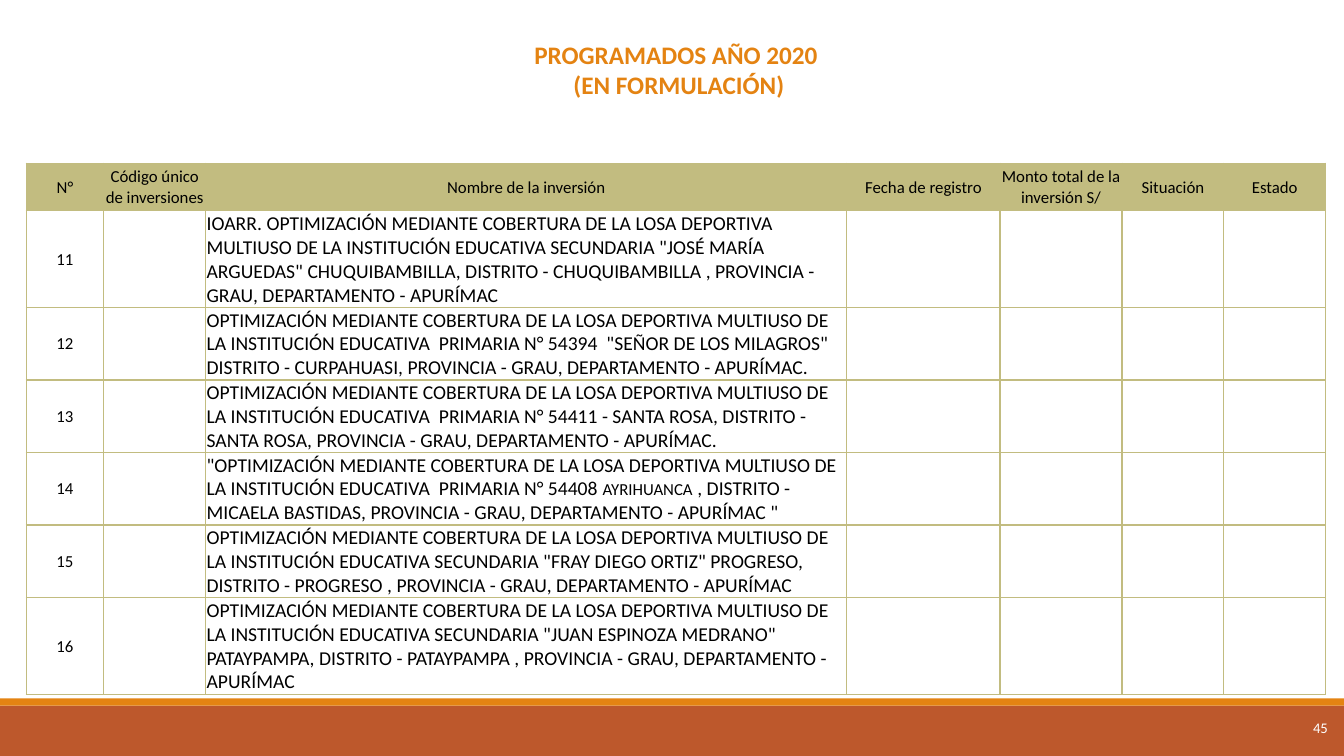
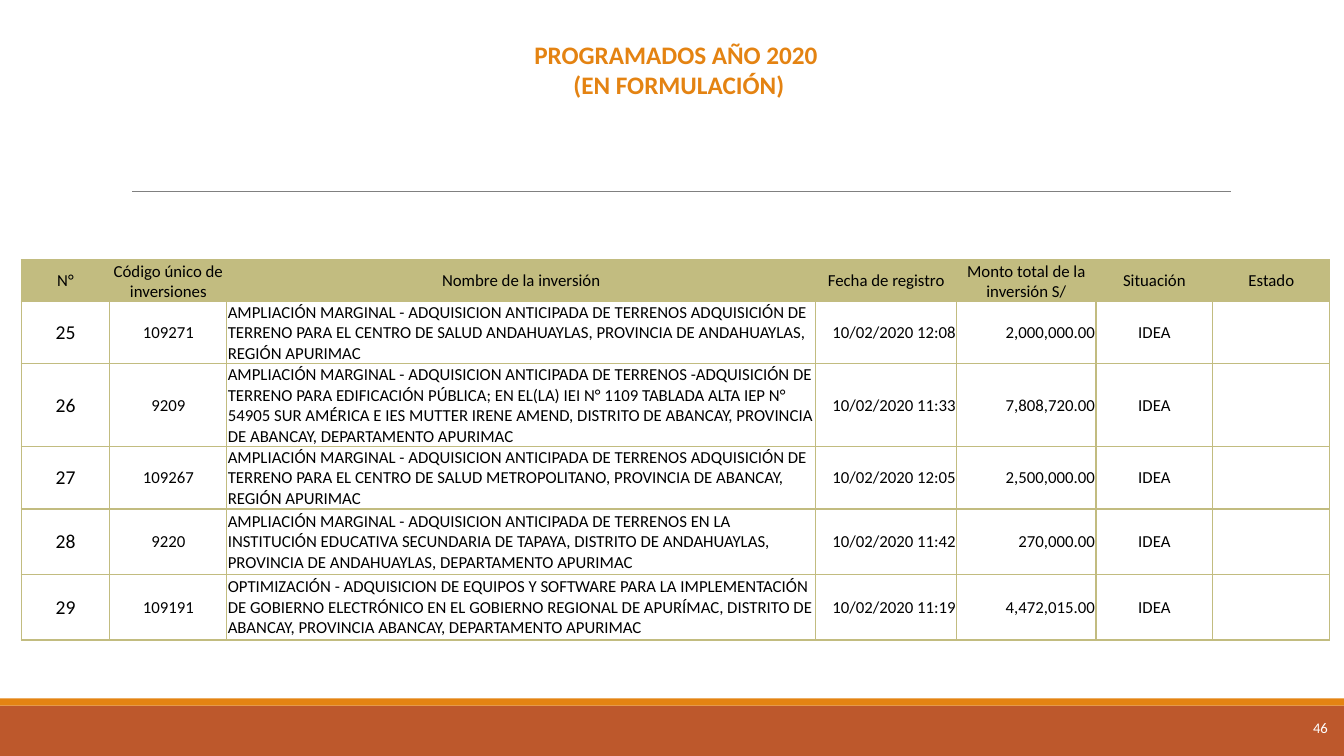
from lxml.etree import SubElement
from pptx import Presentation
from pptx.dml.color import RGBColor
from pptx.enum.shapes import MSO_CONNECTOR, MSO_SHAPE
from pptx.enum.text import MSO_ANCHOR as ANCHOR, MSO_AUTO_SIZE as AUTO, PP_ALIGN as ALIGN
from pptx.oxml.ns import qn
from pptx.util import Inches, Pt

FONT = "Calibri"
RUST = RGBColor(0xBD, 0x58, 0x2C)
ORANGE = RGBColor(0xE4, 0x83, 0x12)
OLIVE = RGBColor(0xC2, 0xBC, 0x80)
GRAY = RGBColor(0x80, 0x80, 0x80)
BLACK = RGBColor(0, 0, 0)
WHITE = RGBColor(0xFF, 0xFF, 0xFF)

TITLE = "PROGRAMADOS AÑO 2020\v (EN FORMULACIÓN)"
HEADERS = ["N°", "Código único de inversiones", "Nombre de la inversión", "Fecha de registro",
           "Monto total de la inversión S/", "Situación", "Estado"]
ALIGNS = [ALIGN.CENTER, ALIGN.CENTER, ALIGN.LEFT, ALIGN.RIGHT, ALIGN.RIGHT, ALIGN.CENTER, ALIGN.CENTER]

COVERS = [
    ("11", "", 'IOARR. OPTIMIZACIÓN MEDIANTE COBERTURA DE LA LOSA DEPORTIVA MULTIUSO DE LA INSTITUCIÓN '
     'EDUCATIVA SECUNDARIA "JOSÉ MARÍA ARGUEDAS" CHUQUIBAMBILLA, DISTRITO - CHUQUIBAMBILLA , '
     'PROVINCIA - GRAU, DEPARTAMENTO - APURÍMAC'),
    ("12", "", 'OPTIMIZACIÓN MEDIANTE COBERTURA DE LA LOSA DEPORTIVA MULTIUSO DE LA INSTITUCIÓN EDUCATIVA  '
     'PRIMARIA N° 54394  "SEÑOR DE LOS MILAGROS"  DISTRITO - CURPAHUASI, PROVINCIA - GRAU, '
     'DEPARTAMENTO - APURÍMAC.'),
    ("13", "", 'OPTIMIZACIÓN MEDIANTE COBERTURA DE LA LOSA DEPORTIVA MULTIUSO DE LA INSTITUCIÓN EDUCATIVA  '
     'PRIMARIA N° 54411 - SANTA ROSA, DISTRITO - SANTA ROSA, PROVINCIA - GRAU, DEPARTAMENTO - APURÍMAC.'),
    ("14", "", [
        ('"OPTIMIZACIÓN MEDIANTE COBERTURA DE LA LOSA DEPORTIVA MULTIUSO DE LA INSTITUCIÓN EDUCATIVA  '
         'PRIMARIA N° 54408 ', 14),
        ("AYRIHUANCA", 12),
        (' , DISTRITO - MICAELA BASTIDAS, PROVINCIA - GRAU, DEPARTAMENTO - APURÍMAC "', 14)]),
    ("15", "", 'OPTIMIZACIÓN MEDIANTE COBERTURA DE LA LOSA DEPORTIVA MULTIUSO DE LA INSTITUCIÓN EDUCATIVA '
     'SECUNDARIA "FRAY DIEGO ORTIZ" PROGRESO, DISTRITO - PROGRESO , PROVINCIA - GRAU, '
     'DEPARTAMENTO - APURÍMAC'),
    ("16", "", 'OPTIMIZACIÓN MEDIANTE COBERTURA DE LA LOSA DEPORTIVA MULTIUSO DE LA INSTITUCIÓN EDUCATIVA '
     'SECUNDARIA "JUAN ESPINOZA MEDRANO" PATAYPAMPA, DISTRITO - PATAYPAMPA , PROVINCIA - GRAU, '
     'DEPARTAMENTO - APURÍMAC'),
]
PURCHASES = [
    ("25", "109271", "AMPLIACIÓN MARGINAL - ADQUISICION ANTICIPADA DE TERRENOS ADQUISICIÓN DE TERRENO PARA EL "
     "CENTRO DE SALUD ANDAHUAYLAS, PROVINCIA DE ANDAHUAYLAS, REGIÓN APURIMAC",
     "10/02/2020 12:08", "2,000,000.00", "IDEA"),
    ("26", "9209", "AMPLIACIÓN MARGINAL - ADQUISICION ANTICIPADA DE TERRENOS -ADQUISICIÓN DE TERRENO PARA "
     "EDIFICACIÓN PÚBLICA; EN EL(LA) IEI N° 1109 TABLADA ALTA IEP N° 54905 SUR AMÉRICA E IES MUTTER IRENE "
     "AMEND, DISTRITO DE ABANCAY, PROVINCIA DE ABANCAY, DEPARTAMENTO APURIMAC",
     "10/02/2020 11:33", "7,808,720.00", "IDEA"),
    ("27", "109267", "AMPLIACIÓN MARGINAL - ADQUISICION ANTICIPADA DE TERRENOS ADQUISICIÓN DE TERRENO PARA EL "
     "CENTRO DE SALUD METROPOLITANO, PROVINCIA DE ABANCAY, REGIÓN APURIMAC",
     "10/02/2020 12:05", "2,500,000.00", "IDEA"),
    ("28", "9220", "AMPLIACIÓN MARGINAL - ADQUISICION ANTICIPADA DE TERRENOS EN LA INSTITUCIÓN EDUCATIVA "
     "SECUNDARIA DE TAPAYA, DISTRITO DE ANDAHUAYLAS, PROVINCIA DE ANDAHUAYLAS, DEPARTAMENTO APURIMAC",
     "10/02/2020 11:42", "270,000.00", "IDEA"),
    ("29", "109191", "OPTIMIZACIÓN - ADQUISICION DE EQUIPOS Y SOFTWARE PARA LA IMPLEMENTACIÓN DE GOBIERNO "
     "ELECTRÓNICO EN EL GOBIERNO REGIONAL DE APURÍMAC, DISTRITO DE ABANCAY, PROVINCIA ABANCAY, "
     "DEPARTAMENTO APURIMAC",
     "10/02/2020 11:19", "4,472,015.00", "IDEA"),
]
SLIDES = [
    dict(number="45", rows=COVERS, left=0.26, top=1.62, number_size=12, name_size=14,
         widths=[0.77, 1.01, 6.36, 1.52, 1.21, 1.01, 1.01],
         heights=[0.47, 0.96, 0.72, 0.72, 0.72, 0.72, 0.96]),
    dict(number="46", rows=PURCHASES, left=0.21, top=2.58, number_size=14, name_size=12,
         widths=[0.88, 1.16, 5.84, 1.4, 1.38, 1.16, 1.16],
         heights=[0.41, 0.62, 0.82, 0.62, 0.65, 0.65]),
]


def write(tf, text, size=12, color=BLACK, bold=False, align=ALIGN.CENTER):
    p = tf.paragraphs[0]
    p.alignment = align
    p.font.size = Pt(size)
    for part, part_size in [(text, size)] if isinstance(text, str) else text:
        if not part:
            continue
        for i, line in enumerate(part.split("\v")):
            if i:
                p.add_line_break()
            r = p.add_run()
            r.text = line
            r.font.name, r.font.size, r.font.bold = FONT, Pt(part_size), bold
            r.font.color.rgb = color


def set_insets(target, left, top, right, bottom):
    target.margin_left, target.margin_top = Inches(left), Inches(top)
    target.margin_right, target.margin_bottom = Inches(right), Inches(bottom)


def add_frame(layout, s):
    for top, height, color in [(7, 0.5, RUST), (6.93, 0.07, ORANGE)]:
        band = s.shapes.add_shape(MSO_SHAPE.RECTANGLE, 0, Inches(top), Inches(13.33), Inches(height))
        band.shadow.inherit = False
        band.fill.solid()
        band.fill.fore_color.rgb = color
        band.line.fill.background()
        layout.shapes.element.append(band.element)
    rule = s.shapes.add_connector(MSO_CONNECTOR.STRAIGHT, Inches(1.31), Inches(1.9), Inches(12.21), Inches(1.9))
    rule.line.color.rgb = GRAY
    rule.line.width = Pt(0.5)
    SubElement(rule.element.spPr, qn("a:effectLst"))
    layout.shapes.element.append(rule.element)


def add_title(s):
    title = s.shapes.title
    title.left, title.top, title.width, title.height = map(Inches, (1.11, 0.34, 11.19, 0.71))
    tf = title.text_frame
    tf.auto_size, tf.vertical_anchor = AUTO.NONE, ANCHOR.TOP
    write(tf, TITLE, size=18, color=ORANGE, bold=True)


def add_number(s, number):
    tf = s.shapes.add_textbox(*map(Inches, (12.37, 6.93, 0.8, 0.57))).text_frame
    tf.word_wrap, tf.vertical_anchor = True, ANCHOR.MIDDLE
    set_insets(tf, 0, 0, 0, 0)
    write(tf, number, size=10.5, color=WHITE, align=ALIGN.RIGHT)


def format_cell(cell, filled):
    tc_pr = cell._tc.get_or_add_tcPr()
    for side in ("lnL", "lnR", "lnT", "lnB"):
        ln = SubElement(tc_pr, qn("a:" + side), w=str(Pt(1)))
        SubElement(SubElement(ln, qn("a:solidFill")), qn("a:srgbClr"), val=str(OLIVE))
    if filled:
        cell.fill.solid()
        cell.fill.fore_color.rgb = OLIVE
    else:
        cell.fill.background()
    cell.vertical_anchor = ANCHOR.MIDDLE
    set_insets(cell, 0.01, 0.01, 0.01, 0)


def add_investments(s, rows, left, top, widths, heights, number_size, name_size):
    table = s.shapes.add_table(len(heights), len(widths), Inches(left), Inches(top),
                               Inches(sum(widths)), Inches(sum(heights))).table
    table.first_row = table.horz_banding = False
    for column, width in zip(table.columns, widths):
        column.width = Inches(width)
    for row, height in zip(table.rows, heights):
        row.height = Inches(height)
    sizes = {0: number_size, 2: name_size}
    for i, values in enumerate([HEADERS] + rows):
        for j, align in enumerate(ALIGNS):
            cell = table.cell(i, j)
            format_cell(cell, filled=i == 0)
            text = values[j] if j < len(values) else ""
            if i == 0:
                write(cell.text_frame, text)
            else:
                write(cell.text_frame, text, size=sizes.get(j, 12), align=align)


def main():
    prs = Presentation()
    prs.slide_width, prs.slide_height = Inches(13.33), Inches(7.5)
    layout = prs.slide_layouts[5]
    for i, content in enumerate(SLIDES):
        s = prs.slides.add_slide(layout)
        if i == 0:
            add_frame(layout, s)
        add_title(s)
        add_number(s, content["number"])
        add_investments(s, **{key: value for key, value in content.items() if key != "number"})
    prs.save("out.pptx")


if __name__ == "__main__":
    main()
